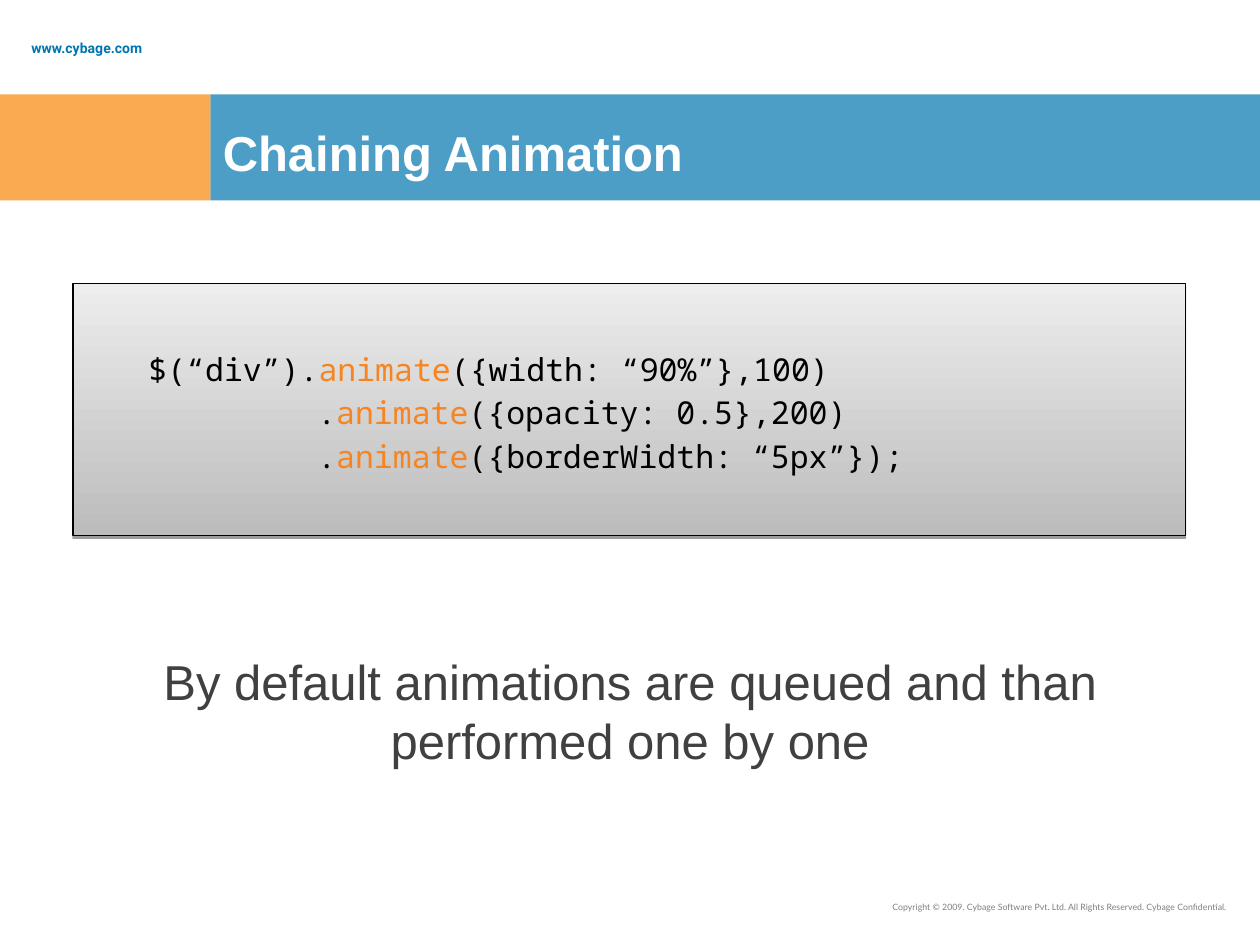
"""Build the Chaining Animation slide."""
from lxml.etree import SubElement
from pptx import Presentation
from pptx.dml.color import RGBColor
from pptx.enum.shapes import MSO_SHAPE as Shape
from pptx.enum.text import MSO_ANCHOR as Anchor, PP_ALIGN as Align
from pptx.oxml.ns import qn
from pptx.util import Inches, Pt

W, H = 10, 7.5
BAND_TOP, BAND_H, SPLIT = 0.75, 0.84, 1.67
BLUE, ORANGE = "0075B0", "F88608"
CODE, CALL = "000000", "F68521"

BANDS = [
    ((SPLIT, BAND_TOP, W - SPLIT, BAND_H), BLUE),
    ((0, BAND_TOP, SPLIT, BAND_H), ORANGE),
]
TEXTS = [
    ("www.cybage.com", (0.15, 0.25, 1.5, 0.19), Anchor.MIDDLE,
     dict(size=8, name="Roboto", bold=True), BLUE, dict(line_spacing=1.5)),
    ("Copyright © 2009. Cybage Software Pvt. Ltd. All Rights Reserved. Cybage Confidential.",
     (6.32, 7.11, 3.52, 0.26), Anchor.TOP,
     dict(size=5, name="Lato"), "7F7F7F", dict(alignment=Align.RIGHT)),
    ("Chaining Animation", (SPLIT, BAND_TOP, W - SPLIT, BAND_H), Anchor.MIDDLE,
     dict(size=28, name="Arial", bold=True), "FFFFFF", dict(line_spacing=1.15)),
    ("By default animations are queued and than performed one by one",
     (0.75, 5.12, 8.5, 1.08), Anchor.TOP,
     dict(size=28, name="Arial"), "404040", dict(alignment=Align.CENTER)),
]
CODE_BOX = (0.58, 2.25, 8.83, 2)
CODE_FONT = dict(size=18, name="Noto Sans Mono")
CODE_LINES = [
    ("$(“div”).", "animate", "({width: “90%”},100)"),
    ("\t     .", "animate", "({opacity: 0.5},200)"),
    ("\t     .", "animate", "({borderWidth: “5px”});"),
]


def rgb(value):
    return RGBColor.from_string(value)


def place(box):
    return [Inches(v) for v in box]


def apply(target, values):
    for key, value in values.items():
        setattr(target, key, value)


def add_run(p, text, font, color):
    r = p.add_run()
    r.text = text
    apply(r.font, {**font, "size": Pt(font["size"])})
    r.font.color.rgb = rgb(color)


def add_band(s, box, color):
    sp = s.shapes.add_shape(Shape.RECTANGLE, *place(box))
    sp.shadow.inherit = False
    sp.fill.solid()
    sp.fill.fore_color.rgb = rgb(color)
    sp.line.fill.background()
    clr = sp.fill._xPr.find(qn("a:solidFill"))[0]
    SubElement(clr, qn("a:alpha"), val="70000")


def add_text(s, text, box, anchor, font, color, layout):
    tf = s.shapes.add_textbox(*place(box)).text_frame
    apply(tf, dict(word_wrap=True, vertical_anchor=anchor))
    p = tf.paragraphs[0]
    apply(p, layout)
    add_run(p, text, font, color)


def add_code(s):
    sp = s.shapes.add_shape(Shape.RECTANGLE, *place(CODE_BOX))
    sp.shadow.inherit = False
    effects = sp._element.spPr.find(qn("a:effectLst"))
    shadow = SubElement(effects, qn("a:outerShdw"), blurRad="0",
                        dist=str(Pt(1.6)), dir="5400000", rotWithShape="0")
    clr = SubElement(shadow, qn("a:srgbClr"), val="000000")
    SubElement(clr, qn("a:alpha"), val="38000")

    sp.fill.gradient()
    sp.fill.gradient_angle = 90
    for stop, color in zip(sp.fill.gradient_stops, ("BCBCBC", "EDEDED")):
        stop.color.rgb = rgb(color)
    sp.line.color.rgb = rgb("000000")
    sp.line.width = Pt(0.75)

    tf = sp.text_frame
    apply(tf, dict(word_wrap=True, vertical_anchor=Anchor.MIDDLE))
    p = tf.paragraphs[0]
    pPr = p._p.get_or_add_pPr()
    apply(p, dict(alignment=Align.LEFT, line_spacing=1.15, space_after=Pt(4.5)))
    pPr.set("marL", str(Inches(0.59)))
    pPr.set("indent", str(Inches(-0.09)))
    tabs = SubElement(pPr, qn("a:tabLst"))
    for i in range(8):
        SubElement(tabs, qn("a:tab"), pos=str(Inches(i)), algn="l")
    for i, parts in enumerate(CODE_LINES):
        if i:
            p.add_line_break()
        for text, color in zip(parts, (CODE, CALL, CODE)):
            add_run(p, text, CODE_FONT, color)


def main():
    prs = Presentation()
    prs.slide_width, prs.slide_height = Inches(W), Inches(H)
    s = prs.slides.add_slide(prs.slide_layouts[6])
    for band in BANDS:
        add_band(s, *band)
    add_code(s)
    for text in TEXTS:
        add_text(s, *text)
    prs.save("out.pptx")


if __name__ == "__main__":
    main()
